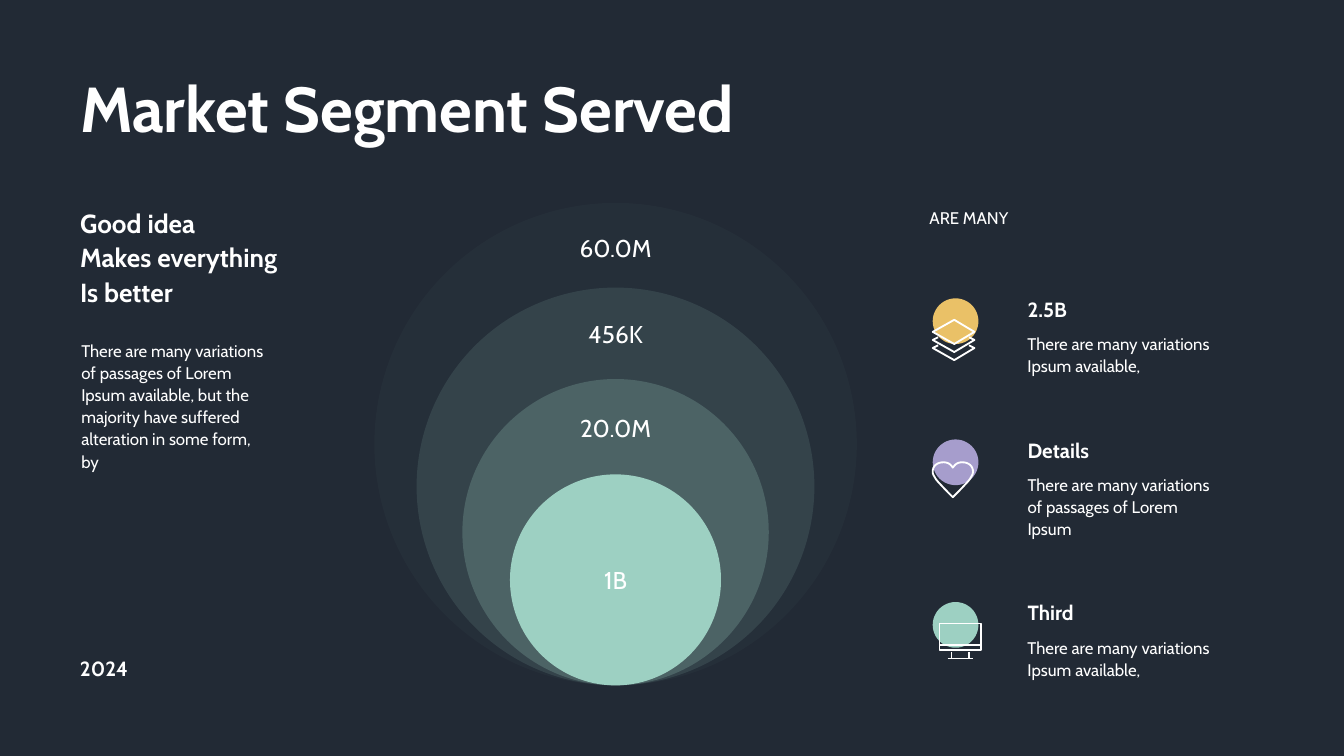
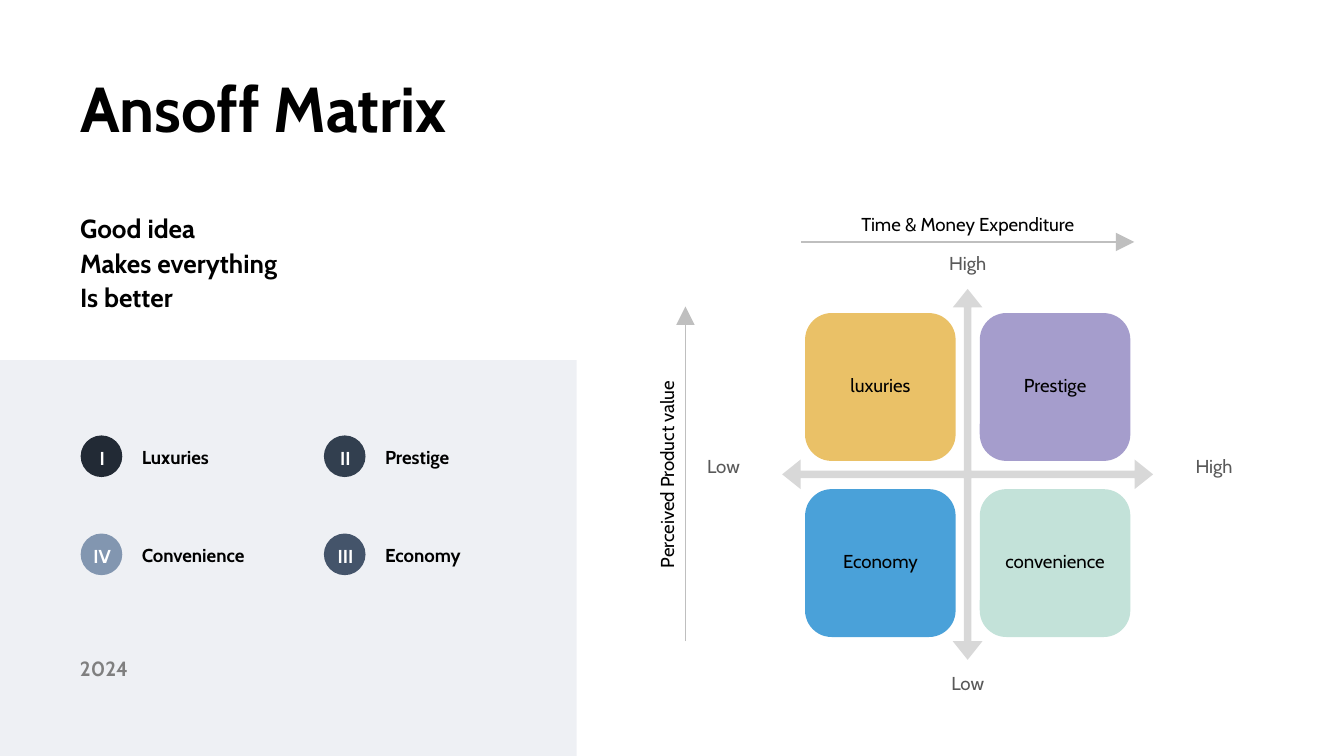
from lxml.etree import SubElement
from pptx import Presentation
from pptx.dml.color import RGBColor
from pptx.enum.shapes import MSO_CONNECTOR as LINE, MSO_SHAPE as SHAPE
from pptx.enum.text import MSO_ANCHOR as ANCHOR, MSO_AUTO_SIZE as FIT, PP_ALIGN as ALIGN
from pptx.oxml.ns import qn
from pptx.util import Inches, Pt

HUES = {
    "white": "FFFFFF", "black": "000000", "night": "222A35", "slate": "323F4F",
    "steel": "44546A", "haze": "8296B0", "panel": "D5DBE5", "gray": "7F7F7F",
    "label": "595959", "axis": "BFBFBF", "cross": "D8D8D8", "mint": "9DD0C2",
    "pale": "C3E2D9", "gold": "EAC167", "lilac": "A69DCC", "violet": "A59DCC",
    "blue": "4AA1D9",
}
FONT = "Cabin"
MOTTO = ["Good idea", "Makes everything", "Is better"]
YEAR = "2024"

# Slide 1
INTRO = ("There are many variations of passages of Lorem Ipsum available, "
         "but the majority have suffered alteration in some form, by")
RINGS = [  # label, diameter, opacity in percent, label top
    ("60.0M", 3.59, 3, 1.7),
    ("456K", 2.96, 13, 2.34),
    ("20.0M", 2.28, 23, 3.04),
    ("1B", 1.57, 100, 4.17),
]
MID, BASE = 4.58, 5.1  # shared centre line and foot of the rings
NOTES = [  # head, text, top, text width, text height, disc colour, icon
    ("2.5B", "There are many variations Ipsum available,", 2.17, 1.7, 0.39, "gold", "layers"),
    ("Details", "There are many variations of passages of Lorem Ipsum", 3.22, 1.55, 0.56,
     "lilac", "heart"),
    ("Third", "There are many variations Ipsum available,", 4.43, 1.7, 0.39, "mint", "screen"),
]
CURVES = [  # left half of the heart, from its tip to its notch
    [(0.15, 0.43), (0.13, 0.41), (0.03, 0.31), (0.02, 0.29)],
    [(0.02, 0.29), (0.01, 0.27), (0, 0.26), (0, 0.24)],
    [(0, 0.24), (0, 0.2), (0.03, 0.17), (0.08, 0.17)],
    [(0.08, 0.17), (0.11, 0.17), (0.13, 0.18), (0.15, 0.21)],
]

# Slide 2
KEYS = [  # numeral, name, colour, column, row
    ("I", "Luxuries", "night", 0, 0),
    ("II", "Prestige", "slate", 1, 0),
    ("IV", "Convenience", "haze", 0, 1),
    ("III", "Economy", "steel", 1, 1),
]
TILES = [  # name, colour, column, row, label width
    ("luxuries", "gold", 0, 0, 0.79),
    ("Prestige", "violet", 1, 0, 0.79),
    ("Economy", "blue", 0, 1, 0.79),
    ("convenience", "pale", 1, 1, 1),
]
ENDS = [  # text, left, top, width, alignment
    ("High", 6.58, 1.84, 1.24, ALIGN.CENTER),
    ("Low", 6.58, 4.96, 1.24, ALIGN.CENTER),
    ("Low", 4.96, 3.35, 0.62, ALIGN.RIGHT),
    ("High", 8.82, 3.35, 0.62, ALIGN.LEFT),
]
AXES = [  # text, left, top, turn, line from, line to
    ("Time & Money Expenditure", 6.17, 1.55, 0, (5.96, 1.8), (8.44, 1.8)),
    ("Perceived Product value", 3.93, 3.41, 270, (5.1, 4.77), (5.1, 2.28)),
]


def rgb(hue):
    return RGBColor.from_string(HUES[hue])


def place(box, at):
    for name, val in zip(("left", "top", "width", "height"), at):
        setattr(box, name, Inches(val))


def write(box, lines, size, hue, bold=False, align=ALIGN.LEFT, gap=1.0):
    frame = box.text_frame
    look = {"margin_left": Pt(5.4), "margin_right": Pt(5.4),
            "margin_top": Pt(2.7), "margin_bottom": Pt(2.7),
            "word_wrap": True, "auto_size": FIT.NONE, "vertical_anchor": ANCHOR.TOP}
    for name, val in look.items():
        setattr(frame, name, val)
    for i, line in enumerate(lines):
        para = frame.add_paragraph() if i else frame.paragraphs[0]
        para.alignment, para.line_spacing = align, gap
        run = para.add_run()
        run.text = line
        for name, val in {"name": FONT, "size": Pt(size), "bold": bold}.items():
            setattr(run.font, name, val)
        run.font.color.rgb = rgb(hue)


def text(slide, at, lines, size, hue, **style):
    box = slide.shapes.add_textbox(*map(Inches, at))
    write(box, [lines] if isinstance(lines, str) else lines, size, hue, **style)
    return box


def form(slide, kind, at, hue, clear=100, adjust=()):
    """Add a filled preset shape; clear is its opacity in percent."""
    item = slide.shapes.add_shape(kind, *map(Inches, at))
    item.shadow.inherit = False
    item.line.fill.background()
    item.fill.solid()
    item.fill.fore_color.rgb = rgb(hue)
    for i, val in enumerate(adjust):
        item.adjustments[i] = val
    if clear < 100:
        tint = item.fill._xPr.find(".//" + qn("a:srgbClr"))
        SubElement(tint, qn("a:alpha"), val=str(clear * 1000))
    return item


def arrow(slide, start, end):
    link = slide.shapes.add_connector(LINE.STRAIGHT, *map(Inches, start + end))
    link.line.color.rgb = rgb("axis")
    link.line.width = Pt(1)
    SubElement(link.line._get_or_add_ln(), qn("a:tailEnd"), type="triangle", w="lg", len="lg")
    SubElement(link._element.spPr, qn("a:effectLst"))


def bend(pts, steps=8):
    """Sample a cubic curve."""
    for i in range(steps + 1):
        t = i / steps
        parts = ((1 - t) ** 3, 3 * t * (1 - t) ** 2, 3 * t * t * (1 - t), t ** 3)
        yield tuple(sum(w * p[k] for w, p in zip(parts, pts)) for k in (0, 1))


def layers():
    top = [(0, 0.25), (0.16, 0.16), (0.31, 0.25), (0.16, 0.34), (0, 0.25)]
    fold = [(0.04, 0.29), (0, 0.31), (0.16, 0.4), (0.31, 0.31), (0.27, 0.29)]
    return [top, fold, [(x, y + 0.06) for x, y in fold]]


def heart():
    half = [p for pts in CURVES for p in bend(pts)]
    return [half + [(0.3 - x, y) for x, y in reversed(half)]]


def screen():
    return [
        [(0.05, 0.16), (0.36, 0.16), (0.36, 0.36), (0.05, 0.36), (0.05, 0.16)],
        [(0.05, 0.32), (0.36, 0.32)],
        [(0.14, 0.37), (0.14, 0.42)],
        [(0.27, 0.37), (0.27, 0.42)],
        [(0.11, 0.42), (0.3, 0.42)],
    ]


ICONS = {"layers": layers, "heart": heart, "screen": screen}


def icon(slide, name, left, top):
    paths = [[(Inches(left + x), Inches(top + y)) for x, y in path] for path in ICONS[name]()]
    pen = slide.shapes.build_freeform(*paths[0][0])
    for i, path in enumerate(paths):
        if i:
            pen.move_to(*path[0])
        pen.add_line_segments(path[1:], close=path[0] == path[-1])
    item = pen.convert_to_shape()
    item.shadow.inherit = False
    item.fill.background()
    item.line.color.rgb = rgb("white")
    item.line.width = Pt(1)


def start(deck, title, hue):
    slide = deck.slides.add_slide(deck.slide_layouts[5])
    place(slide.shapes.title, (0.52, 0.48, 7.13, 0.65))
    write(slide.shapes.title, [title], 34, hue, bold=True)
    return slide


def frame(slide, hue, year, top):
    """Add the motto and the year, which both slides carry."""
    text(slide, (0.52, top, 2.35, 0.83), MOTTO, 14, hue, bold=True, gap=1.1)
    text(slide, (0.52, 4.84, 2.37, 0.25), YEAR, 11, year, bold=True)


def market(deck):
    slide = start(deck, "Market Segment Served", "white")
    back = form(slide, SHAPE.RECTANGLE, (0, 0, 10, 5.63), "night")
    slide.shapes.title._element.addprevious(back._element)
    frame(slide, "white", "white", 1.48)
    text(slide, (0.53, 2.48, 1.53, 1.23), INTRO, 9, "white", gap=1.1)
    for name, wide, clear, top in RINGS:
        form(slide, SHAPE.OVAL, (MID - wide / 2, BASE - wide, wide, wide), "mint", clear)
        text(slide, (MID - 0.71, top, 1.42, 0.29), name, 13, "white", align=ALIGN.CENTER)
    text(slide, (6.84, 1.51, 1.45, 0.23), "ARE MANY", 9, "white")
    for head, body, top, wide, high, hue, name in NOTES:
        text(slide, (7.57, top, 0.85, 0.25), head, 11, "white", bold=True)
        text(slide, (7.57, top + 0.26, wide, high), body, 9, "white", gap=1.1)
        form(slide, SHAPE.OVAL, (6.94, top + 0.05, 0.34, 0.34), hue)
        icon(slide, name, 6.94, top + 0.05)


def matrix(deck):
    slide = start(deck, "Ansoff Matrix", "black")
    form(slide, SHAPE.RECTANGLE, (0, 2.68, 4.29, 2.95), "panel", 40)
    frame(slide, "black", "gray", 1.52)
    for num, name, hue, col, row in KEYS:
        x, y = 0.6 + 1.81 * col, 3.24 + 0.73 * row
        form(slide, SHAPE.OVAL, (x, y, 0.31, 0.31), hue)
        text(slide, (x - 0.01, y + 0.05, 0.34, 0.24), num, 10, "white",
             bold=True, align=ALIGN.CENTER)
        text(slide, (x + 0.38, y + 0.04, 1.07, 0.24), name, 10, "black", bold=True)
    for name, hue, col, row, wide in TILES:
        x, y = 5.99 + 1.3 * col, 2.33 + 1.31 * row
        form(slide, SHAPE.ROUNDED_RECTANGLE, (x, y, 1.12, 1.1), hue, adjust=[0.18])
        text(slide, (x + 0.56 - wide / 2, y + 0.43, wide, 0.23), name, 10, "black",
             align=ALIGN.CENTER, gap=0.9)
    form(slide, SHAPE.QUAD_ARROW, (5.82, 2.15, 2.76, 2.76), "cross", adjust=[0.02, 0.04, 0.05])
    for name, x, y, wide, align in ENDS:
        text(slide, (x, y, wide, 0.24), name, 10, "label", align=align)
    for name, x, y, turn, tail, tip in AXES:
        arrow(slide, tail, tip)
        box = text(slide, (x, y, 2.06, 0.24), name, 10, "black", align=ALIGN.CENTER)
        box.rotation = turn


def main():
    deck = Presentation()
    deck.slide_width = Inches(10)
    deck.slide_height = deck.slide_width * 9 // 16
    market(deck)
    matrix(deck)
    deck.save("out.pptx")


if __name__ == "__main__":
    main()
